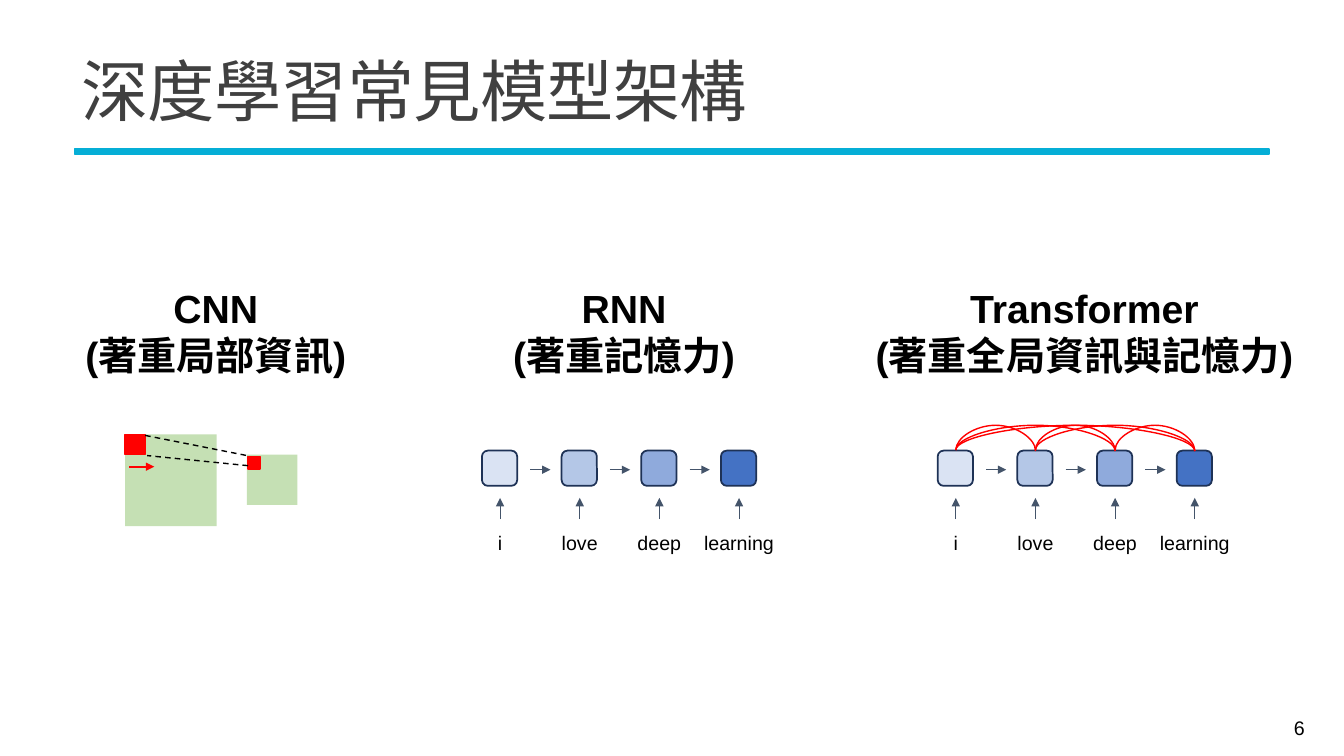
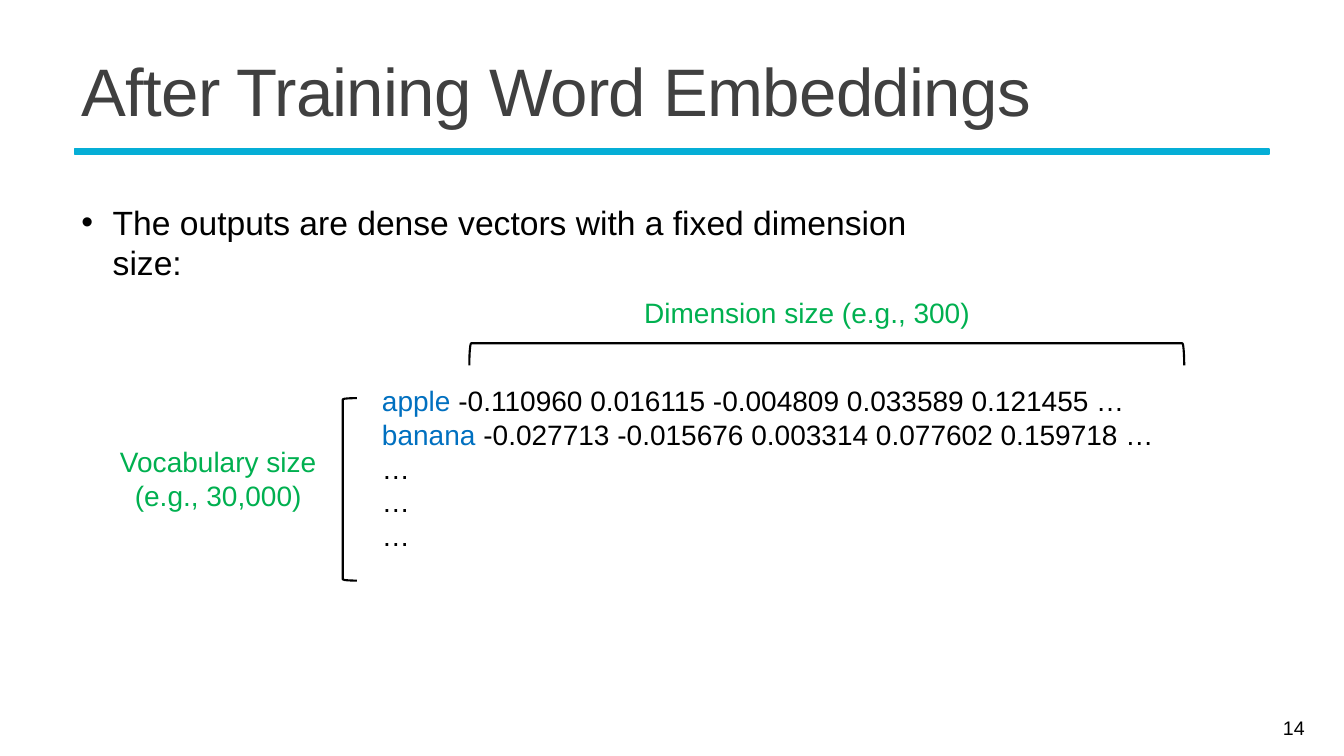
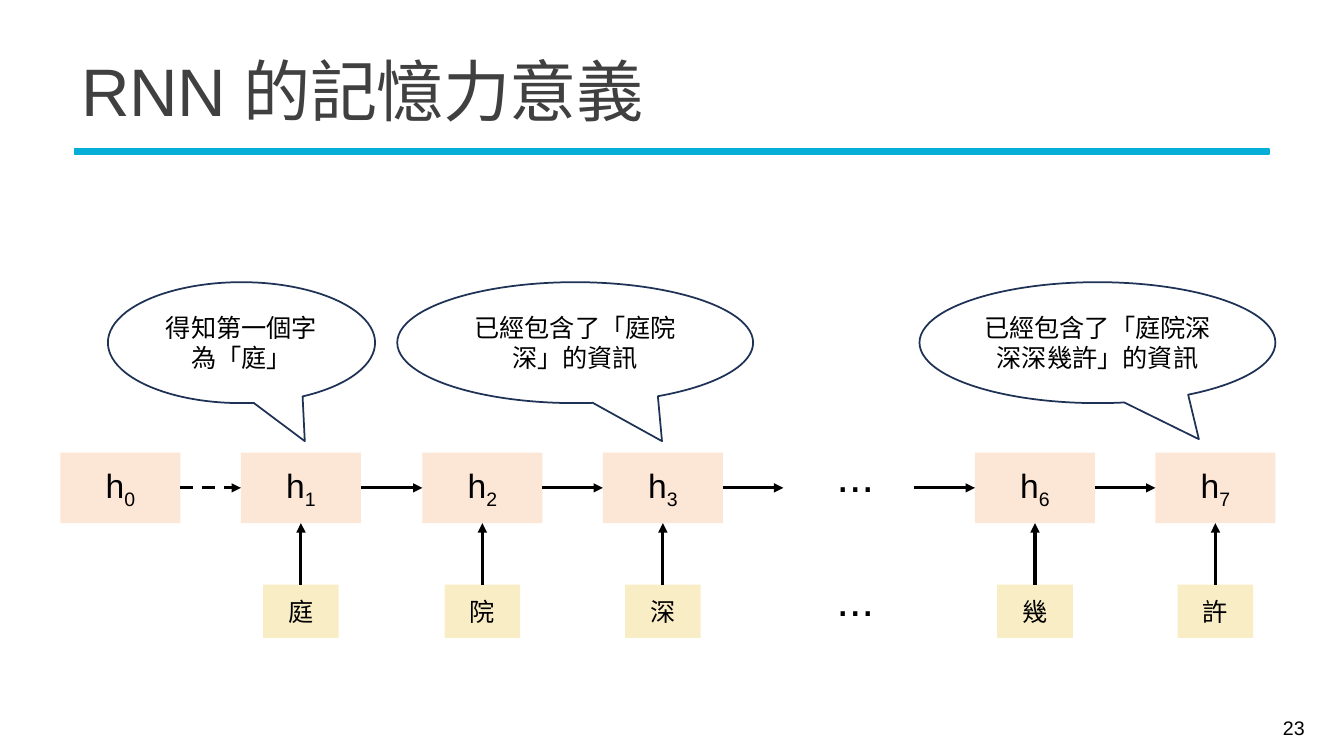
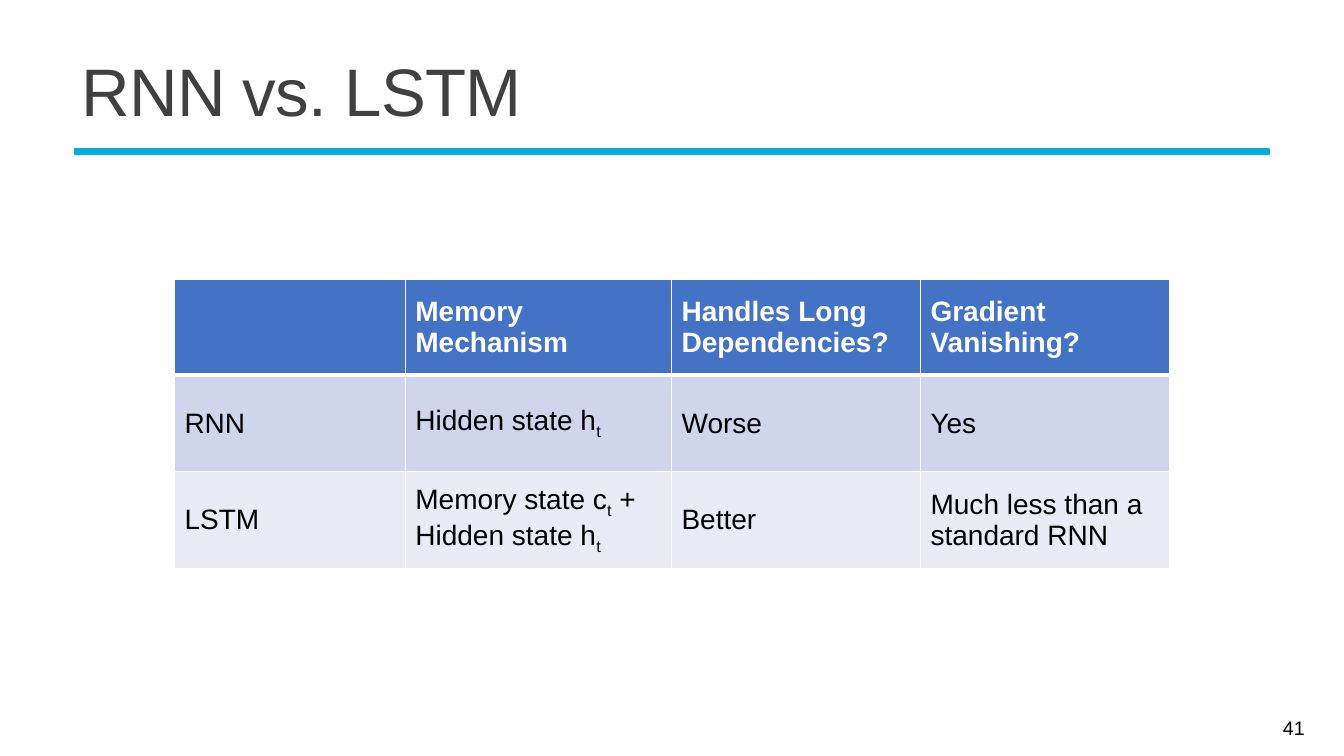
from pptx import Presentation
from pptx.dml.color import RGBColor
from pptx.enum.dml import MSO_LINE
from pptx.enum.shapes import MSO_CONNECTOR, MSO_SHAPE
from pptx.enum.text import MSO_ANCHOR, PP_ALIGN
from pptx.oxml.ns import qn
from pptx.util import Inches, Pt
from lxml import etree

RECT, ROUND = MSO_SHAPE.RECTANGLE, MSO_SHAPE.ROUNDED_RECTANGLE
BRACKET, BUBBLE = MSO_SHAPE.LEFT_BRACKET, MSO_SHAPE.OVAL_CALLOUT
STRAIGHT, CURVE = MSO_CONNECTOR.STRAIGHT, MSO_CONNECTOR.CURVE
LEFT, CENTER, RIGHT = PP_ALIGN.LEFT, PP_ALIGN.CENTER, PP_ALIGN.RIGHT
TOP, MIDDLE = MSO_ANCHOR.TOP, MSO_ANCHOR.MIDDLE
DASH = MSO_LINE.DASH
N, W, S, E = 0, 1, 2, 3  # connection sites of a rectangle

FONT = "Arial"
COLORS = {
    "black": "000000", "white": "FFFFFF", "title": "404040", "rule": "05AED6",
    "red": "FF0000", "leaf": "C5E0B4", "navy": "1E3256", "slate": "44546A",
    "blue": "4472C4", "word": "0070C0", "green": "00B050",
    "peach": "FCE7D7", "cream": "F9EDC6", "odd": "CFD5EA", "even": "E9EBF5",
}
TINTS = ["DAE3F3", "B4C7E7", "8FAADC", "4472C4"]
# Connector styles: colour, width, dashed, arrow
STYLES = {
    "slide": ("red", 1.5, False, True),
    "view": ("black", 1, True, False),
    "feed": ("slate", 0.75, False, True),
    "arc": ("red", 1, False, False),
    "flow": ("black", 2.25, False, True),
    "start": ("black", 2.25, True, True),
}


def box(slide, at, kind=None, fill=None, edge=None, weight=1.25):
    """Add a text box, or a preset shape when a kind is given."""
    at = [Inches(v) for v in at]
    if kind is None:
        return slide.shapes.add_textbox(*at)
    shape = slide.shapes.add_shape(kind, *at)
    shape.shadow.inherit = False
    if fill:
        shape.fill.solid()
        shape.fill.fore_color.rgb = RGBColor.from_string(COLORS.get(fill, fill))
    else:
        shape.fill.background()
    if edge:
        shape.line.color.rgb = RGBColor.from_string(COLORS[edge])
        shape.line.width = Pt(weight)
    else:
        shape.line.fill.background()
    return shape


def write(frame, text, size, color="black", bold=False, align=CENTER,
          anchor=TOP, drop=-25):
    """Fill a frame; "_" splits a line into runs, every second one lowered."""
    frame.word_wrap = True
    frame.vertical_anchor = anchor
    frame.text = text.replace("_", "")
    for para, line in zip(frame.paragraphs, text.split("\n")):
        para.alignment = align
        parts = line.split("_")
        para.text = parts[0]
        for part in parts[1:]:
            para.add_run().text = part
        for i, run in enumerate(para.runs):
            run.font.name, run.font.size, run.font.bold = FONT, Pt(size), bold
            run.font.color.rgb = RGBColor.from_string(COLORS[color])
            if i % 2 and drop:
                run.font._element.set("baseline", str(drop * 1000))
    return frame


prs = Presentation()
prs.slide_width, prs.slide_height = Inches(13.33), Inches(7.5)

# Shared frame: rule, title and page number
PAGES = [("深度學習常見模型架構", 6), ("After Training Word Embeddings", 14),
         ("RNN 的記憶力意義", 23), ("RNN vs. LSTM", 41)]
slides = []
for title, page in PAGES:
    slide = prs.slides.add_slide(prs.slide_layouts[6])
    box(slide, (0.74, 1.48, 11.85, 0.05), RECT, "rule", "rule")
    head = write(box(slide, (0.71, 0.39, 11.94, 1.13)).text_frame, title, 48,
                 "title", align=LEFT, anchor=MIDDLE).paragraphs[0]
    head.line_spacing = 0.85
    head.runs[0].font._element.set("spc", "-50")
    write(box(slide, (11.61, 7.02, 1.43, 0.4)).text_frame, str(page), 14,
          align=RIGHT, anchor=MIDDLE)
    slides.append(slide)
models, embed, memory, versus = slides
wires = []  # slide, style, ends, begin join, end join

# Models: headings
for x, width, text in [(0.59, 3.1, "CNN\n(著重局部資訊)"),
                       (4.67, 3.04, "RNN\n(著重記憶力)"),
                       (8.43, 4.65, "Transformer\n(著重全局資訊與記憶力)")]:
    write(box(models, (x, 2.77, width, 1.04)).text_frame, text, 28, bold=True)

# Models: CNN squares
for x, y, side, fill, edge in [(1.24, 4.31, 0.91, "leaf", None),
                               (1.24, 4.31, 0.2, "red", "red"),
                               (2.45, 4.51, 0.5, "leaf", None),
                               (2.46, 4.53, 0.12, "red", "red")]:
    box(models, (x, y, side, side), RECT, fill, edge)
wires += [(models, "slide", (1.28, 4.63, 1.53, 4.63), None, None),
          (models, "view", (1.44, 4.32, 2.45, 4.52), None, None),
          (models, "view", (2.46, 4.62, 1.46, 4.52), None, None)]

# Models: RNN and Transformer chains
STEP = 0.79
for left in (4.96, 9.48):
    for i, word in enumerate(["i", "love", "deep", "learning"]):
        mid = left + i * STEP
        box(models, (mid - 0.18, 4.47, 0.35, 0.35), ROUND, TINTS[i], "navy")
        write(box(models, (mid - 0.48, 5.22, 0.96, 0.34)).text_frame, word, 14)
        wires.append((models, "feed", (mid, 5.15, mid, 4.94), None, None))
        if i < 3:
            wires.append((models, "feed", (mid + 0.3, 4.66, mid + 0.5, 4.66),
                          None, None))

# Models: every token looks at every other
for a in range(4):
    for b in range(a + 1, 4):
        wires.append((models, "arc", (9.48 + a * STEP, 4.47, 9.48 + b * STEP, 4.47),
                      None, None))

# Embeddings: bullet
para = write(box(embed, (0.71, 1.95, 8.47, 0.5)).text_frame,
             "The outputs are dense vectors with a fixed dimension size:",
             24, align=LEFT).paragraphs[0]
props = para._p.get_or_add_pPr()
props.set("marL", str(Inches(0.31)))
props.set("indent", str(-Inches(0.31)))
etree.SubElement(props, qn("a:buFont")).set("typeface", FONT)
etree.SubElement(props, qn("a:buChar")).set("char", "•")

# Embeddings: vectors, labels and brackets
rows = write(box(embed, (3.69, 3.76, 8.63, 1.78)).text_frame,
             "apple_ -0.110960 0.016115 -0.004809 0.033589 0.121455 …\n"
             "banana_ -0.027713 -0.015676 0.003314 0.077602 0.159718 …\n"
             "…\n…\n…", 20, align=LEFT, drop=None)
for para in rows.paragraphs[:2]:
    para.runs[0].font.color.rgb = RGBColor.from_string(COLORS["word"])
write(box(embed, (6.16, 2.88, 3.69, 0.44)).text_frame,
      "Dimension size (e.g., 300)", 20, "green")
write(box(embed, (1.01, 4.36, 2.31, 0.77)).text_frame,
      "Vocabulary size\n(e.g., 30,000)", 20, "green")
box(embed, (3.4, 3.95, 0.14, 1.81), BRACKET, edge="black", weight=1.5)
box(embed, (8.09, -0.03, 0.22, 7.09), BRACKET, edge="black", weight=1.5).rotation = 90

# Memory: hidden states with their input characters
MID, GAP = 4.84, 0.6
last = None
for x, num, char in [(0.6, 0, ""), (2.39, 1, "庭"), (4.19, 2, "院"),
                     (5.98, 3, "深"), (9.67, 6, "幾"), (11.46, 7, "許")]:
    state = box(memory, (x, 4.49, 1.19, 0.7), RECT, "peach")
    write(state.text_frame, f"h_{num}", 24, anchor=MIDDLE)
    if char:
        token = box(memory, (x + 0.22, 5.8, 0.75, 0.53), RECT, "cream")
        write(token.text_frame, char, 18, anchor=MIDDLE)
        wires.append((memory, "flow", (x + 0.6, 5.8, x + 0.6, 5.19),
                      (token, N), (state, S)))
        wires.append((memory, "start" if num == 1 else "flow",
                      (x - GAP, MID, x, MID),
                      None if num == 6 else (last, E), (state, W)))
    if num == 3:
        wires.append((memory, "flow", (x + 1.19, MID, x + 1.19 + GAP, MID),
                      (state, E), None))
    last = state
for y in (4.39, 5.62):
    write(box(memory, (8.2, y, 0.75, 0.64)).text_frame, "...", 32, align=LEFT)

# Memory: speech bubbles
for x, width, tip, text in [(1.07, 2.65, (0.237, 0.814), "得知第一個字為「庭」"),
                            (3.94, 3.53, (0.244, 0.814), "已經包含了「庭院深」的資訊"),
                            (9.12, 3.53, (0.285, 0.798),
                             "已經包含了「庭院深深深幾許」的資訊")]:
    bubble = box(memory, (x, 2.8, width, 1.2), BUBBLE, edge="navy")
    bubble.adjustments[0], bubble.adjustments[1] = tip
    write(bubble.text_frame, text, 18, anchor=MIDDLE)

# Versus: table
CELLS = [["", "Memory Mechanism", "Handles Long Dependencies?", "Gradient Vanishing?"],
         ["RNN", "Hidden state h_t", "Worse", "Yes"],
         ["LSTM", "Memory state c_t_ + Hidden state h_t", "Better",
          "Much less than a standard RNN"]]
table = versus.shapes.add_table(3, 4, Inches(1.73), Inches(2.77),
                                Inches(9.87), Inches(2.86)).table
for col, width in zip(table.columns, (2.29, 2.64, 2.47, 2.47)):
    col.width = Inches(width)
for r, line in enumerate(CELLS):
    table.rows[r].height = Inches(0.95 if r == 0 else 0.96)
    for c, text in enumerate(line):
        cell = table.cell(r, c)
        write(cell.text_frame, text, 20, "black" if r else "white", r == 0, LEFT)
        cell.vertical_anchor = MIDDLE
        for side in ("lnL", "lnR", "lnT", "lnB"):
            thick = (r, side) in ((0, "lnB"), (1, "lnT"))
            edge = etree.SubElement(cell._tc.get_or_add_tcPr(), qn("a:" + side))
            edge.set("w", str(Pt(3 if thick else 1)))
            paint = etree.SubElement(edge, qn("a:solidFill"))
            etree.SubElement(paint, qn("a:srgbClr")).set("val", COLORS["white"])
        cell.fill.solid()
        cell.fill.fore_color.rgb = RGBColor.from_string(
            COLORS[("blue", "odd", "even")[r]])

# Connectors of all slides
THIN, RISE = 0.01, 0.25
for slide, style, ends, begin, end in wires:
    color, weight, dashed, arrow = STYLES[style]
    x1, y1, x2, y2 = ends
    if style == "arc":
        # A thin upright curve, turned on its side so that it bulges upwards
        mid, half = (x1 + x2) / 2, (x2 - x1) / 2
        ends = (mid + THIN / 2, y1 - half, mid - THIN / 2, y1 + half)
    wire = slide.shapes.add_connector(CURVE if style == "arc" else STRAIGHT,
                                      *[Inches(v) for v in ends])
    props = wire._element.spPr
    if style == "arc":
        props.find(qn("a:xfrm")).set("rot", str(270 * 60000))
        geom = props.find(qn("a:prstGeom"))
        guides = geom.find(qn("a:avLst"))
        if guides is None:
            guides = etree.SubElement(geom, qn("a:avLst"))
        guide = etree.SubElement(guides, qn("a:gd"))
        guide.set("name", "adj1")
        guide.set("fmla", f"val {round(-RISE / THIN * 100000)}")
    if begin:
        wire.begin_connect(*begin)
    if end:
        wire.end_connect(*end)
    wire.line.color.rgb = RGBColor.from_string(COLORS[color])
    wire.line.width = Pt(weight)
    if dashed:
        wire.line.dash_style = DASH
    if arrow:
        etree.SubElement(props.find(qn("a:ln")), qn("a:tailEnd")).set("type", "triangle")
    etree.SubElement(props, qn("a:effectLst"))

prs.save("out.pptx")
